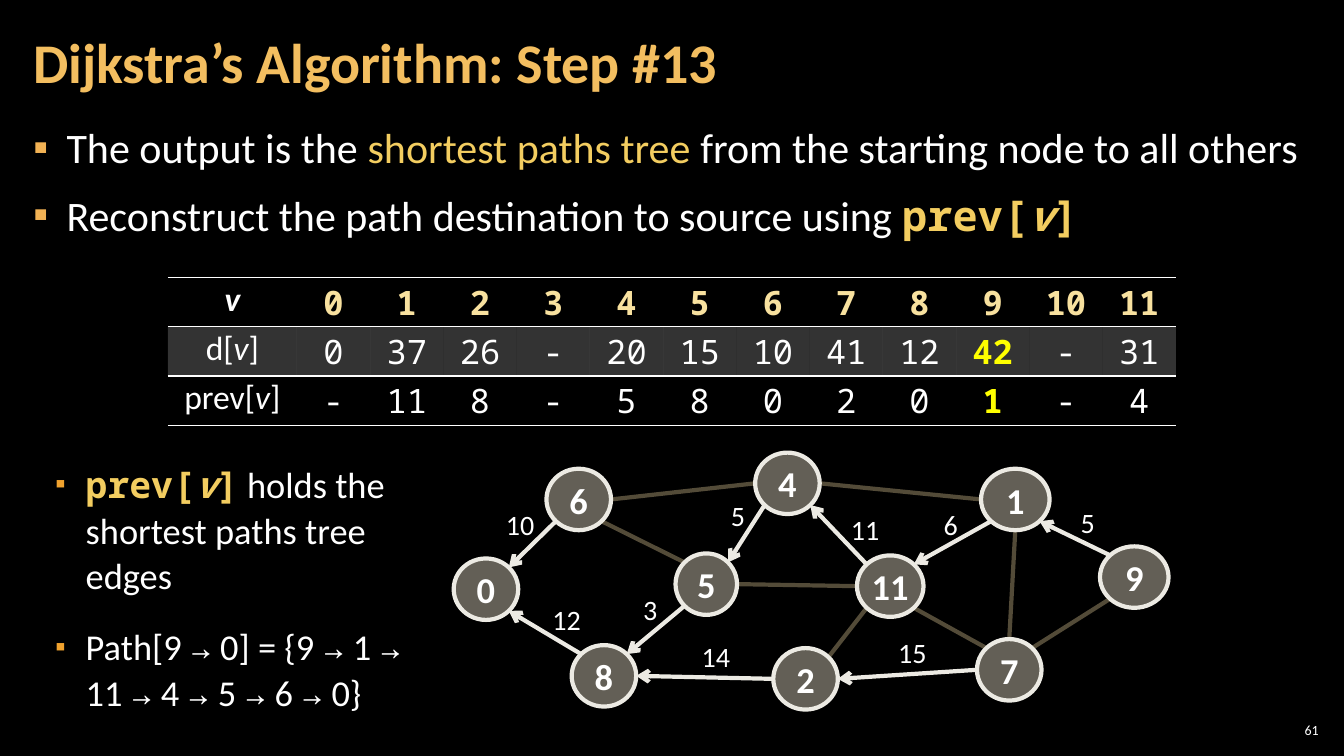
from lxml.etree import SubElement
from pptx import Presentation
from pptx.dml.color import RGBColor
from pptx.enum.shapes import MSO_CONNECTOR, MSO_SHAPE
from pptx.enum.text import MSO_ANCHOR, PP_ALIGN
from pptx.oxml.ns import qn
from pptx.util import Inches, Pt

# The slide is a grid of 1333 columns by 750 rows; all lengths count its cells.
COLS, ROWS = 1333, 750
SANS, MONO = "Calibri", "Noto Sans Mono"
WHITE, BLACK, GOLD, YELLOW = "FFFFFF", "000000", "F3CD60", "FFFF00"
PALE, DIM, STONE, CREAM = "ECEAE3", "534B38", "C7BFAC", "F8E19F"

# Each run is (text, format changes).
TITLE = [("Dijkstra’s Algorithm: Step #13", {"color": "F3BE60", "bold": True})]
CODE = {"face": MONO, "color": GOLD, "bold": True}
PREV = [("prev[", CODE), ("v", {**CODE, "italic": True}), ("]", CODE)]
POINTS = [
    [("The output is the ", {}), ("shortest paths tree ", {"color": GOLD}),
     ("from the starting node to all others", {})],
    [("Reconstruct the path destination to source using ", {}), *PREV],
]
ARROW = ("→", {"face": MONO})
STEPS = ["Path[9 ", " 0] = {9 ", " 1 ", " 11 ", " 4 ", " 5 ", " 6 ", " 0}"]
NOTES = [
    [*PREV, (" holds the shortest paths tree edges", {})],
    [run for step in STEPS for run in (ARROW, (step, {}))][1:],
]

VAR = ("v", {"italic": True})
HEADS = [[("v", {"italic": True, "bold": True})],
         [("d[", {}), VAR, ("]", {})],
         [("prev[", {}), VAR, ("]", {})]]
VALUES = [
    "0 1 2 3 4 5 6 7 8 9 10 11".split(),
    "0 37 26 - 20 15 10 41 12 42 - 31".split(),
    "- 11 8 - 5 8 0 2 0 1 - 4".split(),
]
LAST = 9  # node whose values are highlighted

# Node: left, top, width
NODES = {
    "11": (850, 551, 66), "4": (749, 449, 64), "5": (670, 549, 61),
    "2": (767, 643, 64), "6": (542, 465, 64), "0": (450, 554, 64),
    "8": (567, 640, 64), "7": (969, 634, 64), "1": (973, 465, 68),
    "9": (1091, 542, 68),
}
TALL = 61
# Edges join compass points of two nodes; tree edges point to the second node.
TREE = [
    ("1", "sw", "11", "ne"), ("11", "nw", "4", "se"), ("4", "sw", "5", "ne"),
    ("2", "w", "8", "e"), ("5", "sw", "8", "ne"), ("6", "sw", "0", "ne"),
    ("7", "w", "2", "e"), ("8", "nw", "0", "se"), ("9", "nw", "1", "se"),
]
REST = [
    ("4", "e", "1", "w"), ("5", "e", "11", "w"), ("6", "e", "4", "w"),
    ("5", "nw", "6", "se"), ("11", "se", "7", "nw"), ("2", "ne", "11", "sw"),
    ("7", "n", "1", "s"), ("9", "sw", "7", "ne"),
]
# Weight: text, left, top
COSTS = [("10", 492, 499), ("12", 538, 593), ("6", 926, 499), ("14", 686, 630),
         ("15", 881, 626), ("3", 628, 583), ("5", 715, 490), ("11", 834, 504),
         ("5", 1062, 497)]


def unit(n):
    return Inches(n / 100)


def rgb(code):
    return RGBColor.from_string(code)


def fade(node, share):
    """Make the colour inside an XML element show at a share of full strength."""
    tint = next(node.iter(qn("a:srgbClr")))
    SubElement(tint, qn("a:alpha"), val=str(share * 1000))


def write(para, runs, size=20, color=WHITE, face=SANS, bold=False, align=None):
    para.alignment = align
    base = {"color": color, "face": face, "bold": bold, "italic": False}
    for text, change in runs:
        look = {**base, **change}
        run = para.add_run()
        run.text = text
        font = run.font
        font.size, font.name = Pt(size), look["face"]
        font.bold, font.italic = look["bold"], look["italic"]
        font.color.rgb = rgb(look["color"])


def box(left, top, wide, high, side=12, edge=4, wrap=True, anchor=MSO_ANCHOR.TOP):
    frame = slide.shapes.add_textbox(*map(unit, (left, top, wide, high))).text_frame
    frame.word_wrap, frame.vertical_anchor = wrap, anchor
    frame.margin_left = frame.margin_right = unit(side)
    frame.margin_top = frame.margin_bottom = unit(edge)
    return frame


def bullets(frame, items, size, indent, tint, gap, scale=100, line=None):
    for i, runs in enumerate(items):
        para = frame.paragraphs[0] if i == 0 else frame.add_paragraph()
        props = para._p.get_or_add_pPr()
        props.set("marL", str(unit(indent)))
        props.set("indent", str(-unit(indent)))
        SubElement(SubElement(props, qn("a:buClr")), qn("a:srgbClr"), val=tint)
        SubElement(props, qn("a:buSzPct"), val=str(scale * 1000))
        SubElement(props, qn("a:buFont"), typeface=SANS)
        SubElement(props, qn("a:buChar"), char="▪")
        para.space_before, para.space_after = Pt(gap if i else 0), Pt(6)
        para.line_spacing = line
        write(para, runs, size=size)


def rule(cell, side):
    """Draw a thin white border; call after the fill, last side first."""
    line = cell._tc.get_or_add_tcPr().makeelement(qn("a:" + side), w=str(Pt(1)))
    SubElement(SubElement(line, qn("a:solidFill")), qn("a:srgbClr"), val=WHITE)
    cell._tc.tcPr.insert(0, line)


def grid(top, head, wide, high):
    """Draw the table centred across the slide."""
    count = len(VALUES[0])
    total = head + count * wide
    table = slide.shapes.add_table(
        len(VALUES), count + 1, unit((COLS - total) / 2), unit(top),
        unit(total), unit(high * len(VALUES))).table
    table.first_row = table.horz_banding = False
    plain = "{2D5ABB26-0587-4C30-8999-92F81FD0307C}"
    table._tbl.tblPr.find(qn("a:tableStyleId")).text = plain
    for c in range(count + 1):
        table.columns[c].width = unit(wide if c else head)
    for r, values in enumerate(VALUES):
        table.rows[r].height = unit(high)
        for c, runs in enumerate([HEADS[r]] + [[(v, {})] for v in values]):
            cell = table.cell(r, c)
            cell.margin_left = cell.margin_right = unit(4)
            cell.margin_top = cell.margin_bottom = unit(2)
            if r == 1:
                cell.fill.solid()
                cell.fill.fore_color.rgb = rgb(WHITE)
                fade(cell._tc.tcPr, 20)
            else:
                cell.fill.background()
            rule(cell, "lnB")
            rule(cell, "lnT")
            hot = r > 0 and c == LAST + 1
            tint = YELLOW if hot else CREAM if r == 0 and c else WHITE
            write(cell.text_frame.paragraphs[0], runs, size=24, color=tint,
                  face=MONO if c else SANS, bold=hot or (r == 0 and c > 0),
                  align=PP_ALIGN.CENTER)


def point(name, side):
    """Place on a node's outline in a compass direction."""
    left, top, wide = NODES[name]
    dx = ("e" in side) - ("w" in side)
    dy = ("s" in side) - ("n" in side)
    reach = 0.5 if len(side) == 1 else 0.5 ** 1.5
    return unit(left + wide * (0.5 + dx * reach)), unit(top + TALL * (0.5 + dy * reach))


def link(start, out, end, into, tree):
    wire = slide.shapes.add_connector(
        MSO_CONNECTOR.STRAIGHT, *point(start, out), *point(end, into))
    wire.line.width, wire.line.color.rgb = Pt(3), rgb(PALE if tree else DIM)
    if tree:
        SubElement(wire.line._get_or_add_ln(), qn("a:tailEnd"), type="arrow")
    SubElement(wire._element.spPr, qn("a:effectLst"))


def disc(name, left, top, wide):
    shape = slide.shapes.add_shape(MSO_SHAPE.OVAL, *map(unit, (left, top, wide, TALL)))
    shape.shadow.inherit = False
    shape.fill.solid()
    shape.fill.fore_color.rgb = rgb(STONE)
    fade(shape._element.spPr, 50)
    shape.line.width, shape.line.color.rgb = Pt(3), rgb(PALE)
    frame = shape.text_frame
    frame.margin_left = frame.margin_right = unit(4)
    frame.vertical_anchor = MSO_ANCHOR.MIDDLE
    write(frame.paragraphs[0], [(name, {})], size=26, bold=True, align=PP_ALIGN.CENTER)


deck = Presentation()
deck.slide_width, deck.slide_height = unit(COLS), unit(ROWS)
slide = deck.slides.add_slide(deck.slide_layouts[6])
slide.background.fill.solid()
slide.background.fill.fore_color.rgb = rgb(BLACK)

page = box(1265, 714, 47, 21, side=4, anchor=MSO_ANCHOR.MIDDLE)
write(page.paragraphs[0], [("61", {})], size=10, align=PP_ALIGN.RIGHT)
bullets(box(21, 117, 1291, 609), POINTS, 30, 33, "F2B254", 6)
head = box(21, 4, 1047, 121, anchor=MSO_ANCHOR.MIDDLE).paragraphs[0]
head.line_spacing = 0.9
write(head, TITLE, size=40)
grid(275, head=128, wide=72.67, high=49)

for edge in REST:
    link(*edge, tree=False)
for edge in TREE:
    link(*edge, tree=True)
for name, spot in NODES.items():
    disc(name, *spot)
for text, left, top in COSTS:
    label = box(left, top, 19 + 15 * len(text), 44, side=10, edge=5, wrap=False)
    write(label.paragraphs[0], [(text, {})])
bullets(box(43, 452, 377, 265), NOTES, 26, 30, "F0A22E", 12, scale=80, line=1.05)

deck.save("out.pptx")
